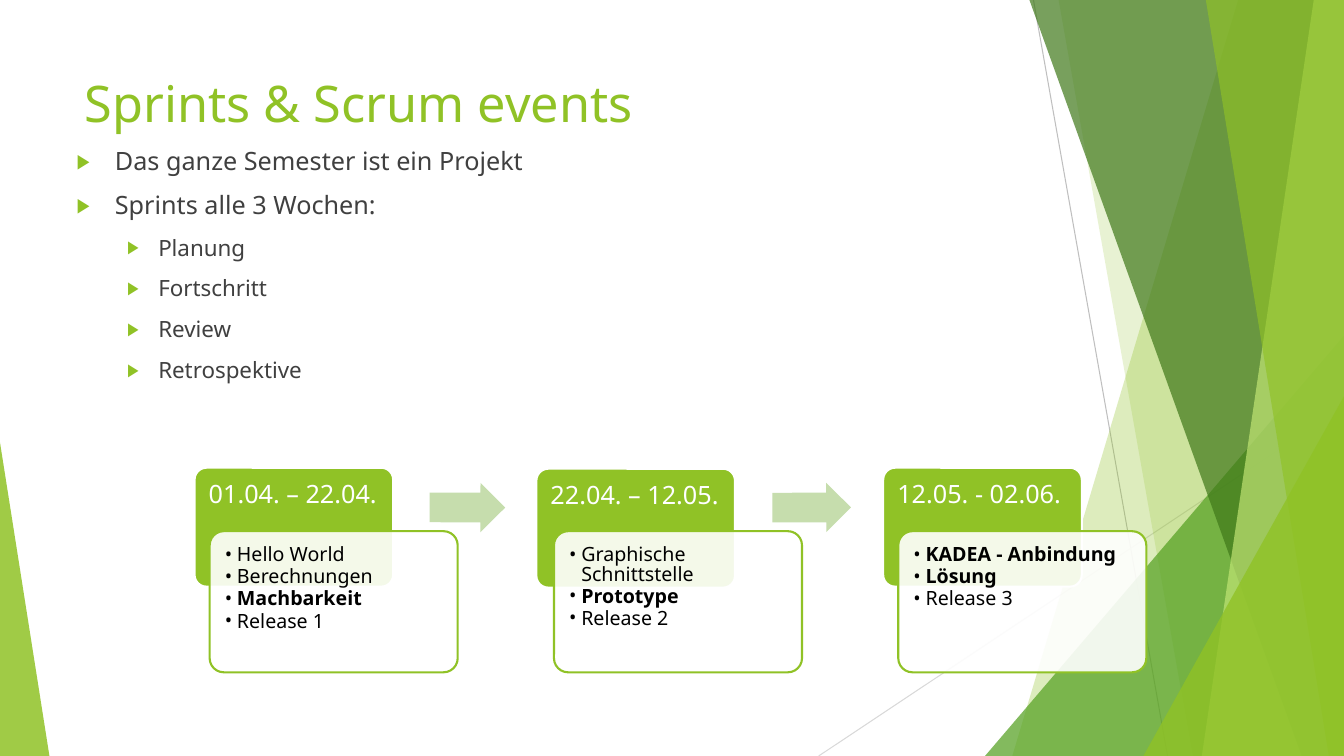
from lxml import etree
from pptx import Presentation
from pptx.dml.color import RGBColor
from pptx.enum.shapes import MSO_CONNECTOR, MSO_SHAPE
from pptx.enum.text import MSO_ANCHOR, MSO_AUTO_SIZE, PP_ALIGN
from pptx.oxml.ns import qn
from pptx.util import Inches, Pt

LINE = MSO_CONNECTOR.STRAIGHT
TRIANGLE = MSO_SHAPE.ISOSCELES_TRIANGLE
ROUNDED = MSO_SHAPE.ROUNDED_RECTANGLE
ARROW = MSO_SHAPE.RIGHT_ARROW
TOP, LEFT, NO_FIT = MSO_ANCHOR.TOP, PP_ALIGN.LEFT, MSO_AUTO_SIZE.NONE

FONT = "Noto Sans"
COLORS = {
    "lime": "90C226", "leaf": "54A021", "forest": "3F7819", "pale": "C0E474",
    "arrow": "C6DDAD", "gray": "BFBFBF", "mist": "D9D9D9",
    "text": "404040", "black": "000000", "white": "FFFFFF",
}

# Page grid: square cells, 13.33 columns by 7.5 rows
COLUMNS, ROWS = 13.33, 7.5
CELL = Inches(1)
CARD_PITCH = 3.415

# Facets: top left, top right, bottom right, bottom left columns, colour, opacity
FACETS_BACK = [
    (12.28, COLUMNS, COLUMNS, 10.04, "lime", 30),
    (10.5, COLUMNS, COLUMNS, 11.83, "lime", 20),
]
FACETS_FRONT = [
    (10.21, COLUMNS, COLUMNS, 12.91, "forest", 70),
    (13.03, COLUMNS, COLUMNS, 11.92, "pale", 70),
    (11.96, COLUMNS, COLUMNS, 13.18, "lime", 65),
]

BULLETS = [
    ("Das ganze Semester ist ein Projekt", 0),
    ("Sprints alle 3 Wochen:", 0),
    ("Planung", 1),
    ("Fortschritt", 1),
    ("Review", 1),
    ("Retrospektive", 1),
]

# Sprints: header column and row, dates, (goal, bold)
SPRINTS = [
    (1.93, 4.64, "01.04. – 22.04.",
     [("Hello World", False), ("Berechnungen", False),
      ("Machbarkeit", True), ("Release 1", False)]),
    (5.32, 4.65, "22.04. – 12.05.",
     [("Graphische Schnittstelle", False), ("Prototype", True),
      ("Release 2", False)]),
    (8.76, 4.64, "12.05. - 02.06.",
     [("KADEA - Anbindung", True), ("Lösung", True), ("Release 3", False)]),
]
ARROWS = [(4.26, 0.75, 0.2), (7.66, 0.78, 359.8)]


def cells(*counts):
    return [round(count * CELL) for count in counts]


def rgb(name):
    return RGBColor.from_string(COLORS[name])


def paint(shape, fill, opacity=100, line=None):
    shape.shadow.inherit = False
    shape.fill.solid()
    shape.fill.fore_color.rgb = rgb(fill)
    if opacity < 100:
        color = shape.fill._xPr.find(".//" + qn("a:srgbClr"))
        etree.SubElement(color, qn("a:alpha"), val=str(opacity * 1000))
    if line:
        shape.line.color.rgb = rgb(line)
        shape.line.width = Pt(1.5)
    else:
        shape.line.fill.background()


def add_preset(page, kind, area, adjustments, fill, opacity=100, line=None):
    shape = page.shapes.add_shape(kind, *cells(*area))
    for index, value in enumerate(adjustments):
        shape.adjustments[index] = value
    paint(shape, fill, opacity, line)
    return shape


def add_facet(page, top_left, top_right, bottom_right, bottom_left, fill, opacity):
    corners = [(top_right, 0), (bottom_right, ROWS), (bottom_left, ROWS)]
    builder = page.shapes.build_freeform(*cells(top_left, 0))
    builder.add_line_segments([cells(*corner) for corner in corners])
    paint(builder.convert_to_shape(), fill, opacity)


def add_thin_line(page, start, end, color):
    line = page.shapes.add_connector(LINE, *cells(*start, *end))
    line.line.color.rgb = rgb(color)
    line.line.width = Pt(0.75)
    etree.SubElement(line._element.spPr, qn("a:effectLst"))


def format_para(para, size, color, bold=False):
    para.alignment = LEFT
    for span in para.runs:
        span.font.name = FONT
        span.font.size = Pt(size)
        span.font.bold = bold
        span.font.color.rgb = rgb(color)


def set_bullet(para, char, indent, hanging, color=None, percent=100):
    properties = para._p.get_or_add_pPr()
    left, first = cells(indent, -hanging)
    properties.set("marL", str(left))
    properties.set("indent", str(first))
    if color:
        holder = etree.SubElement(properties, qn("a:buClr"))
        etree.SubElement(holder, qn("a:srgbClr"), val=COLORS[color])
    etree.SubElement(properties, qn("a:buSzPct"), val=str(percent * 1000))
    etree.SubElement(properties, qn("a:buFont"), typeface=FONT)
    etree.SubElement(properties, qn("a:buChar"), char=char)


def prepare_frame(box, lines, insets):
    frame = box.text_frame
    frame.word_wrap = True
    frame.auto_size = NO_FIT
    frame.vertical_anchor = TOP
    (frame.margin_left, frame.margin_top,
     frame.margin_right, frame.margin_bottom) = cells(*insets)
    frame.text = "\n".join(lines)
    return frame.paragraphs


def fill_placeholder(box, area, lines):
    box.left, box.top, box.width, box.height = cells(*area)
    box._element.getparent().append(box._element)  # bring to front
    return prepare_frame(box, lines, (0.1, 0.05, 0.1, 0.05))


def add_text(page, area, lines, insets):
    return prepare_frame(page.shapes.add_textbox(*cells(*area)), lines, insets)


def add_backdrop(page):
    add_thin_line(page, (10.25, 0), (11.58, ROWS), "gray")
    add_thin_line(page, (COLUMNS, 4.03), (8.12, ROWS), "mist")
    for facet in FACETS_BACK:
        add_facet(page, *facet)
    add_preset(page, TRIANGLE, (9.77, 3.33, 3.56, 4.17), [1], "leaf", 72)
    for facet in FACETS_FRONT:
        add_facet(page, *facet)
    add_preset(page, TRIANGLE, (11.34, 3.93, 1.99, 3.57), [1], "lime", 80)
    add_preset(page, TRIANGLE, (0, 4.39, 0.49, 3.11), [0], "lime", 85)


def add_title_and_list(page):
    title, body = page.placeholders
    heading = fill_placeholder(title, (0.74, 0.67, 9.4, 1.44),
                               ["Sprints & Scrum events"])
    format_para(heading[0], 36, "lime")
    paras = fill_placeholder(body, (0.66, 1.39, 12, 5.31),
                             [text for text, _ in BULLETS])
    for para, (_, level) in zip(paras, BULLETS):
        para.level = level
        para.space_before = Pt(10)
        format_para(para, 16 if level else 18, "text")
        indent, hanging = (0.81, 0.31) if level else (0.38, 0.38)
        set_bullet(para, "▶", indent, hanging, "lime", 80)


def add_sprint(page, panel_left, left, top, dates, goals):
    # Date header
    add_preset(page, ROUNDED, (left, top, 1.97, 1.18), [0.1], "lime", line="white")
    header = add_text(page, (left, top, 1.97, 0.79), [dates],
                      (0.14, 0.14, 0.14, 0.07))[0]
    header.line_spacing = 0.9
    format_para(header, 18, "white")
    # Goals panel
    add_preset(page, ROUNDED, (panel_left, 5.27, 2.46, 1.4), [0.1], "white", 90, "lime")
    paras = add_text(page, (panel_left + 0.04, 5.31, 2.38, 1.31),
                     [text for text, _ in goals], (0.11,) * 4)
    for para, (_, bold) in zip(paras, goals):
        para.level = 1
        para.line_spacing = 0.82
        para.space_after = Pt(2)
        format_para(para, 14, "black", bold)
        set_bullet(para, "•", 0.12, 0.12)


def main():
    deck = Presentation()
    deck.slide_width, deck.slide_height = cells(COLUMNS, ROWS)
    page = deck.slides.add_slide(deck.slide_layouts[1])
    add_backdrop(page)
    add_title_and_list(page)
    for index, sprint in enumerate(SPRINTS):
        add_sprint(page, 2.08 + index * CARD_PITCH, *sprint)
    for left, width, turn in ARROWS:
        arrow = add_preset(page, ARROW, (left, 4.79, width, 0.49), [0.6, 0.5], "arrow")
        arrow.rotation = turn
    deck.save("out.pptx")


main()
